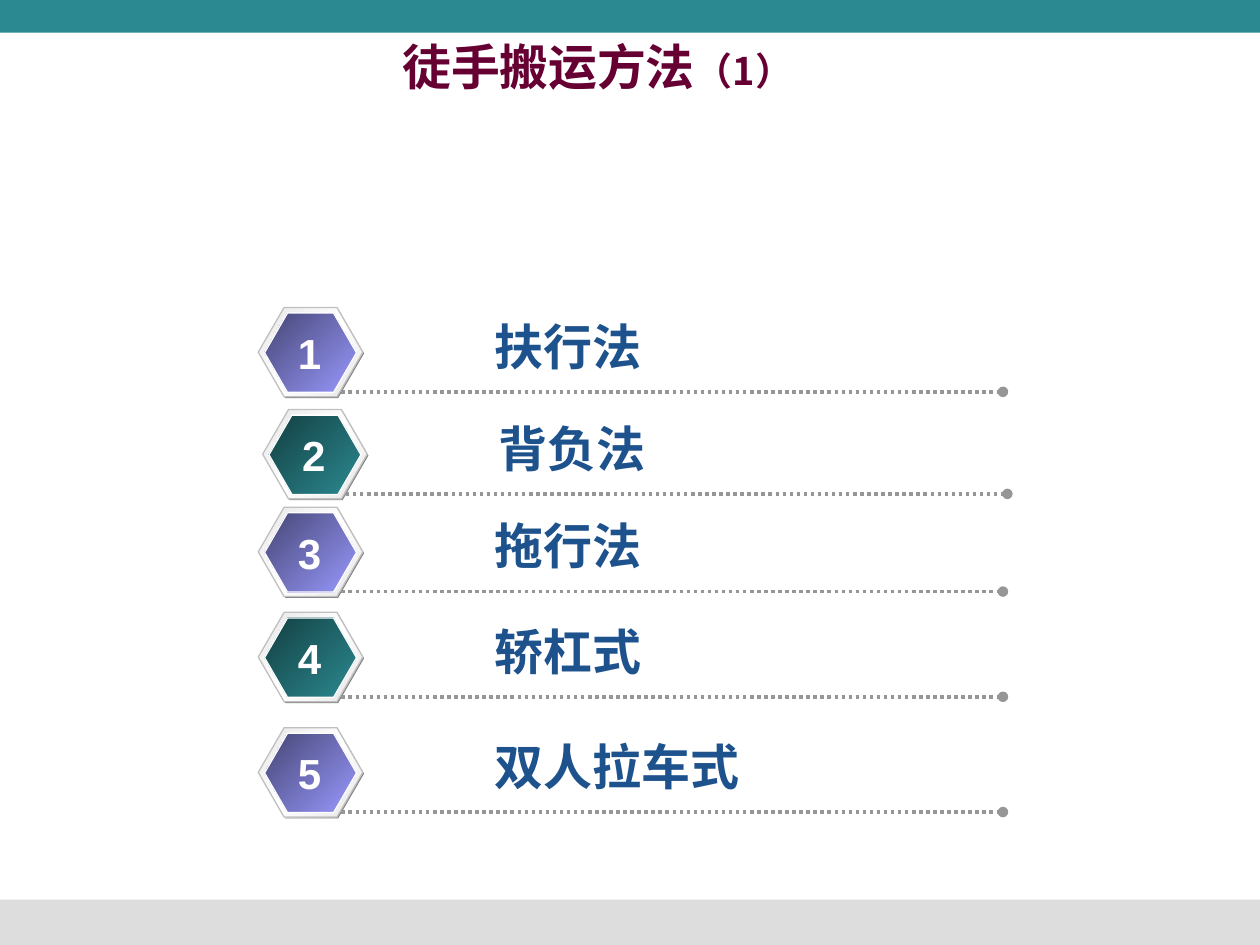
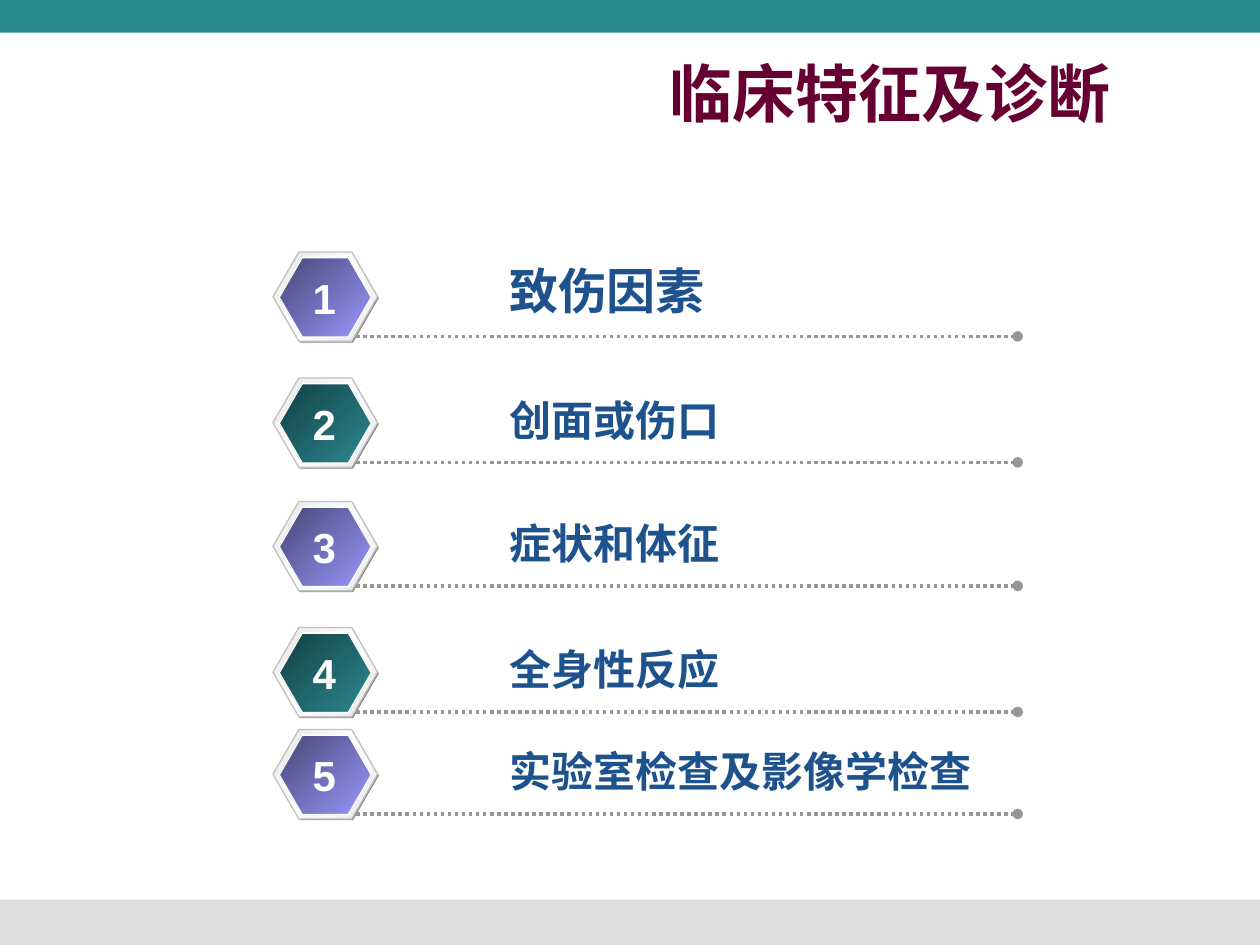
from copy import deepcopy

from pptx import Presentation
from pptx.dml.color import RGBColor as RGB
from pptx.enum.dml import MSO_LINE as DASH
from pptx.enum.shapes import MSO_CONNECTOR as CONN, MSO_SHAPE as KIND
from pptx.enum.text import MSO_ANCHOR as ANCHOR, PP_ALIGN as ALIGN
from pptx.oxml.ns import qn
from pptx.oxml.xmlchemy import OxmlElement as Elem
from pptx.util import Inches, Pt

CJK = "Noto Sans CJK SC"
THEME = {
    "top": "2B8A91", "foot": "DDDDDD", "title": "660033",
    "label": "1D528D", "digit": "FFFFFF", "line": "969696",
    "shade": ["808080"], "rim": ["E6E6E6", "FFFFFF", "E6E6E6"],
    "faces": [["9999FF", "464675"], ["2B8A91", "133F42"]],
    "big": 28, "mid": 24,
}

# Each row: top in grid rows, left shift in grid columns, label, label size
BIG, MID = THEME["big"], THEME["mid"]
PAGES = [
    {
        "title": [("徒手搬运方法", 27.9), ("（1）", 21.7)],
        "box": (6.7, 3.3, 84.2, 5.8), "font": CJK, "right": 3.7,
        "para": {"alignment": ALIGN.CENTER, "line_spacing": 0.8},
        "anchor": ANCHOR.TOP, "left": 20.5,
        "rows": [(24.4, 0, "扶行法", BIG), (32.5, 0.35, "背负法", BIG),
                 (40.25, 0, "拖行法", BIG), (48.6, 0, "轿杠式", BIG),
                 (57.75, 0, "双人拉车式", BIG)],
    },
    {
        "title": [("临床特征及诊断", 36)],
        "box": (5.8, 4.2, 83.3, 6.2), "font": "DejaVu Sans", "right": 1,
        "para": {"alignment": ALIGN.RIGHT},
        "anchor": ANCHOR.MIDDLE, "left": 21.67,
        "rows": [(20, 0, "致伤因素", BIG), (30, 0, "创面或伤口", MID),
                 (39.8, 0, "症状和体征", MID), (49.8, 0, "全身性反应", MID),
                 (57.9, 0, "实验室检查及影像学检查", MID)],
    },
]

deck = Presentation()
deck.slide_width, deck.slide_height = Inches(10), Inches(7.5)
COL, ROW = deck.slide_width / 100, deck.slide_height / 75


def draw(home, kind, box, tints, edge=None):
    """Add a preset shape on the grid, with a plain or a gradient fill."""
    x, y, w, h = box
    form = home.add_shape(kind, int(x * COL), int(y * ROW),
                          int(w * COL), int(h * ROW))
    form.shadow.inherit = False
    if kind == KIND.HEXAGON:
        form.adjustments[0] = 0.289
    if len(tints) == 1:
        form.fill.solid()
        form.fill.fore_color.rgb = RGB.from_string(tints[0])
    else:
        form.fill.gradient()
        form.fill.gradient_angle = 135
        stops = form.element.spPr.find(".//" + qn("a:gsLst"))
        for _ in tints[2:]:
            stops.append(deepcopy(stops[-1]))
        for i, stop in enumerate(form.fill.gradient_stops):
            stop.position = i / (len(tints) - 1)
            stop.color.rgb = RGB.from_string(tints[i])
    if edge:
        form.line.color.rgb = RGB.from_string(edge)
        form.line.width = Pt(0.75)
    else:
        form.line.fill.background()


def write(home, box, runs, face, tint, para, frame):
    """Add a one-paragraph text box; runs are (text, size) pairs."""
    x, y, w, h = box
    text = home.add_textbox(int(x * COL), int(y * ROW),
                            int(w * COL), int(h * ROW)).text_frame
    for key, val in frame.items():
        setattr(text, key, val)
    line = text.paragraphs[0]
    for key, val in para.items():
        setattr(line, key, val)
    for words, size in runs:
        run = line.add_run()
        run.text = words
        for key, val in {"name": face, "size": Pt(size), "bold": True}.items():
            setattr(run.font, key, val)
        run.font.color.rgb = RGB.from_string(tint)
        east = Elem("a:ea")
        east.set("typeface", CJK)
        run.font._element.find(qn("a:latin")).addnext(east)


for page in PAGES:
    slide = deck.slides.add_slide(deck.slide_layouts[6])

    # Bands
    draw(slide.shapes, KIND.RECTANGLE, (0, 71.4, 100, 3.6), [THEME["foot"]])
    draw(slide.shapes, KIND.RECTANGLE, (0, 0, 100, 2.6), [THEME["top"]])

    # Title
    write(slide.shapes, page["box"], page["title"], page["font"],
          THEME["title"], page["para"],
          {"word_wrap": True, "vertical_anchor": page["anchor"],
           "margin_right": int(page["right"] * COL)})

    for num, (y, shift, label, size) in enumerate(page["rows"], 1):
        x = page["left"] + shift
        group = slide.shapes.add_group_shape().shapes

        # Badge
        draw(group, KIND.HEXAGON, (x + 0.1, y + 0.1, 8.3, 7.1), THEME["shade"])
        draw(group, KIND.HEXAGON, (x, y, 8.3, 7.1), THEME["rim"], "C0C0C0")
        draw(group, KIND.HEXAGON, (x + 0.5, y + 0.45, 7.3, 6.3),
             THEME["faces"][(num - 1) % 2], "FFFFFF")

        # Dotted rule
        base = int((y + 6.7) * ROW)
        rule = group.add_connector(CONN.STRAIGHT, int((x + 6.6) * COL), base,
                                   int((x + 59.1) * COL), base)
        rule.line.color.rgb = RGB.from_string(THEME["line"])
        rule.line.width = Pt(2)
        rule.line.dash_style = DASH.ROUND_DOT
        tail = Elem("a:tailEnd")
        tail.set("type", "oval")
        rule.line._ln.append(tail)
        rule._element.spPr.append(Elem("a:effectLst"))

        # Label and number
        wide = len(label) * size / 7.2 + 3.4
        drop, high = (0.2, 5.7) if size == BIG else (0.8, 5)
        write(group, (x + 17.75, y + drop, wide, high), [(label, size)],
              "Arial", THEME["label"], {}, {"word_wrap": True})
        write(group, (x + 2.15, y + 1.1, 3.8, 5), [(str(num), MID)],
              "Arial", THEME["digit"], {"alignment": ALIGN.CENTER},
              {"word_wrap": False})

deck.save("out.pptx")
